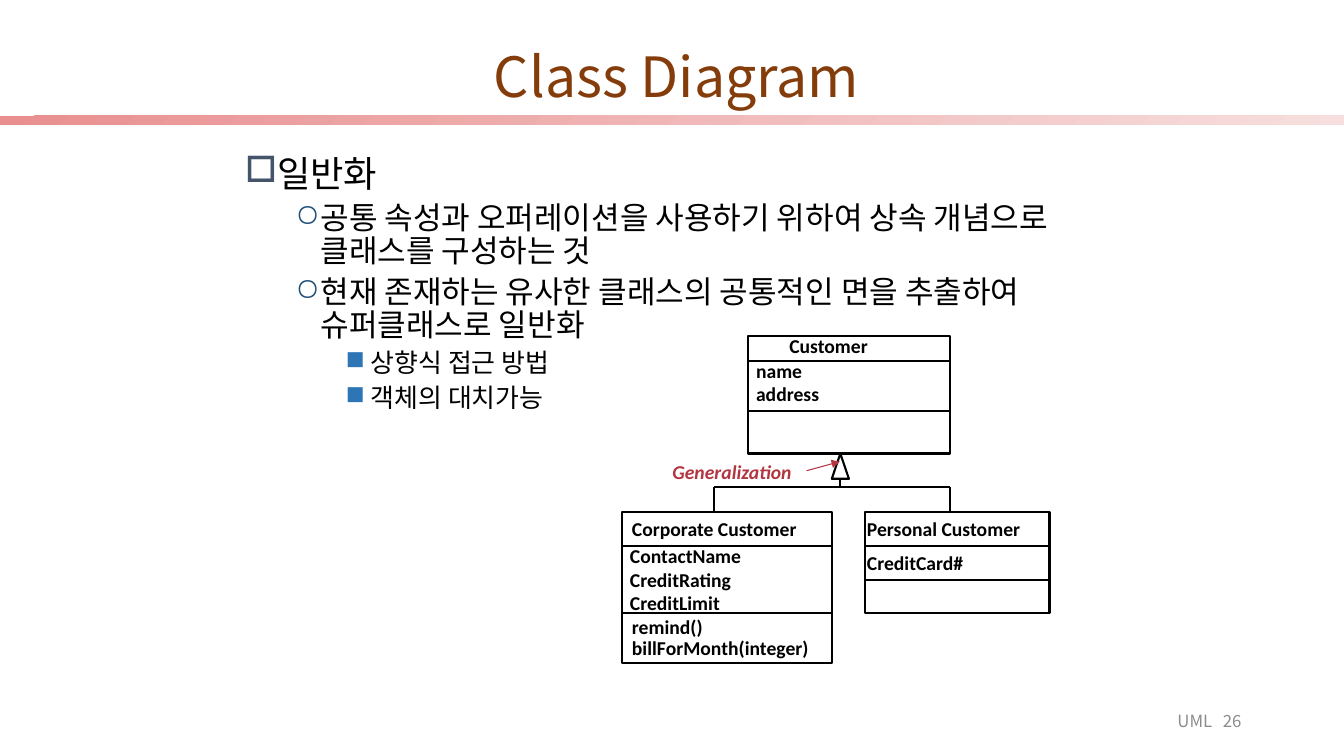
import dataclasses

import pptx
import pptx.dml.color
import pptx.enum.shapes
import pptx.enum.text
import pptx.oxml.ns
import pptx.util
from lxml import etree

Inches = pptx.util.Inches
Pt = pptx.util.Pt
Shape = pptx.enum.shapes.MSO_SHAPE
Align = pptx.enum.text.PP_ALIGN
Anchor = pptx.enum.text.MSO_ANCHOR


@dataclasses.dataclass(frozen=True)
class Theme:
    sans: str = "Noto Sans CJK KR"
    label: str = "Calibri"
    ink: str = "000000"
    title: str = "843C0B"
    note: str = "B23642"
    foot: str = "8C8C8C"
    band: tuple = ("E98F8F", "F7DEDE")
    title_size: float = 39.6
    label_size: float = 14
    foot_size: float = 12
    # per level: size, space before, bullet, bullet colour
    levels: tuple = ((25.9, 10, "□", "44546A"),
                     (22.2, 5, "○", "1F4E79"),
                     (18.5, 5, "■", "2E75B6"))


THEME = Theme()

POINTS = (
    (0, "일반화"),
    (1, "공통 속성과 오퍼레이션을 사용하기 위하여 상속 개념으로 클래스를 구성하는 것"),
    (1, "현재 존재하는 유사한 클래스의 공통적인 면을 추출하여 슈퍼클래스로 일반화"),
    (2, "상향식 접근 방법"),
    (2, "객체의 대치가능"),
)


def rgb(code):
    return pptx.dml.color.RGBColor.from_string(code)


def add_xml(parent, tag, **attrs):
    return etree.SubElement(parent, pptx.oxml.ns.qn(tag), attrs)


def add_run(para, text, size, color, face, bold=False, italic=False):
    run = para.add_run()
    run.text = text
    font = run.font
    font.size, font.name = Pt(size), face
    font.bold, font.italic = bold, italic
    font.color.rgb = rgb(color)
    add_xml(font._element, "a:ea", typeface=face)


def add_frame(slide, left, top, width, height, anchor=Anchor.TOP):
    box = slide.shapes.add_textbox(
        Inches(left), Inches(top), Inches(width), Inches(height))
    frame = box.text_frame
    frame.word_wrap = True
    frame.vertical_anchor = anchor
    return frame


def add_paras(frame, count):
    """Return count paragraphs, the first being the one already there."""
    return [frame.paragraphs[0]] + [
        frame.add_paragraph() for _ in range(count - 1)]


def add_label(slide, left, top, width, height, lines, color=THEME.ink,
              italic=False, spacing=1.0):
    frame = add_frame(slide, left, top, width, height)
    for para, line in zip(add_paras(frame, len(lines)), lines):
        para.line_spacing = spacing
        add_run(para, line, THEME.label_size, color, THEME.label, True, italic)


def add_line(slide, start, end, color=THEME.ink, width=1.5, arrow=False):
    line = slide.shapes.add_connector(
        pptx.enum.shapes.MSO_CONNECTOR.STRAIGHT,
        *(Inches(value) for value in (*start, *end)))
    line.line.color.rgb = rgb(color)
    line.line.width = Pt(width)
    if arrow:
        add_xml(line.line._get_or_add_ln(), "a:tailEnd", type="triangle")
    add_xml(line._element.spPr, "a:effectLst")


def add_shape(slide, kind, left, top, width, height):
    shape = slide.shapes.add_shape(
        kind, Inches(left), Inches(top), Inches(width), Inches(height))
    shape.shadow.inherit = False
    return shape


def add_outline(slide, kind, left, top, width, height):
    shape = add_shape(slide, kind, left, top, width, height)
    shape.fill.background()
    shape.line.color.rgb = rgb(THEME.ink)
    shape.line.width = Pt(1.5)


def add_class(slide, left, top, width, height, splits):
    """Draw a class box with a divider at each height in splits."""
    add_outline(slide, Shape.RECTANGLE, left, top, width, height)
    for split in splits:
        add_line(slide, (left, split), (left + width, split))


def add_band(slide):
    band = add_shape(slide, Shape.RECTANGLE, 0, 1.15, 13.33, 0.09)
    band.line.fill.background()
    band.fill.gradient()
    band.fill.gradient_angle = 315
    for stop, color in zip(band.fill.gradient_stops, THEME.band):
        stop.color.rgb = rgb(color)


def add_title(slide):
    frame = add_frame(slide, 0.6, 0.48, 12.22, 0.61, Anchor.MIDDLE)
    para = frame.paragraphs[0]
    para.alignment = Align.CENTER
    para.line_spacing = 0.9
    add_run(para, "Class Diagram", THEME.title_size, THEME.title, THEME.sans)


def add_body(slide):
    frame = add_frame(slide, 2.33, 1.5, 8.75, 2.81)
    for para, (level, text) in zip(add_paras(frame, len(POINTS)), POINTS):
        size, before, mark, color = THEME.levels[level]
        para.level = level
        para.line_spacing = 0.9
        para.space_before = Pt(before)
        props = para._p.get_or_add_pPr()
        props.set("marL", str(Inches(0.25 + 0.5 * level)))
        props.set("indent", str(Inches(-0.25)))
        add_xml(add_xml(props, "a:buClr"), "a:srgbClr", val=color)
        add_xml(props, "a:buChar", char=mark)
        add_run(para, text, size, THEME.ink, THEME.sans)


def add_tree(slide):
    """Join both subclasses to the superclass."""
    bar, left, right, mid = 4.83, 7.08, 9.42, 8.33
    add_line(slide, (left, bar), (right, bar))
    for x in (left, right):
        add_line(slide, (x, bar), (x, 5.08))
    add_outline(slide, Shape.ISOSCELES_TRIANGLE, 8.25, 4.5, 0.17, 0.25)
    add_line(slide, (mid, 4.75), (mid, bar))
    add_label(slide, 6.57, 4.51, 1.92, 0.34, ["Generalization"],
              THEME.note, italic=True)
    add_line(slide, (8, 4.67), (mid, 4.58), THEME.note, 0.75, arrow=True)


def add_footer(slide):
    frame = add_frame(slide, 11.58, 6.95, 0.84, 0.4, Anchor.MIDDLE)
    para = frame.paragraphs[0]
    tabs = add_xml(para._p.get_or_add_pPr(), "a:tabLst")
    add_xml(tabs, "a:tab", pos=str(Inches(0.45)), algn="l")
    add_run(para, "UML\t26", THEME.foot_size, THEME.foot, THEME.sans)


def main():
    deck = pptx.Presentation()
    deck.slide_width, deck.slide_height = Inches(13.33), Inches(7.5)
    slide = deck.slides.add_slide(deck.slide_layouts[6])
    add_band(slide)
    add_body(slide)

    add_class(slide, 6.17, 5.08, 2.08, 1.5, (5.42, 6.08))
    add_label(slide, 6.17, 5.08, 2.57, 0.34, ["Corporate Customer"])
    add_label(slide, 6.15, 5.35, 1.74, 0.81,
              ["ContactName", "CreditRating", "CreditLimit"])
    add_label(slide, 6.17, 6.08, 2.73, 0.53,
              ["remind()", "billForMonth(integer)"], spacing=0.9)

    add_class(slide, 8.58, 5.08, 1.83, 1, (5.42, 5.75))
    add_label(slide, 8.5, 5.08, 2.41, 0.34, ["Personal Customer"])
    add_label(slide, 8.5, 5.42, 1.66, 0.34, ["CreditCard#"])

    add_tree(slide)
    add_class(slide, 7.42, 3.33, 2, 1.17, (3.58, 4.08))
    add_label(slide, 7.73, 3.26, 1.3, 0.34, ["Customer"])
    add_label(slide, 7.4, 3.51, 1.12, 0.57, ["name", "address"])

    add_title(slide)
    add_footer(slide)
    deck.save("out.pptx")


if __name__ == "__main__":
    main()
